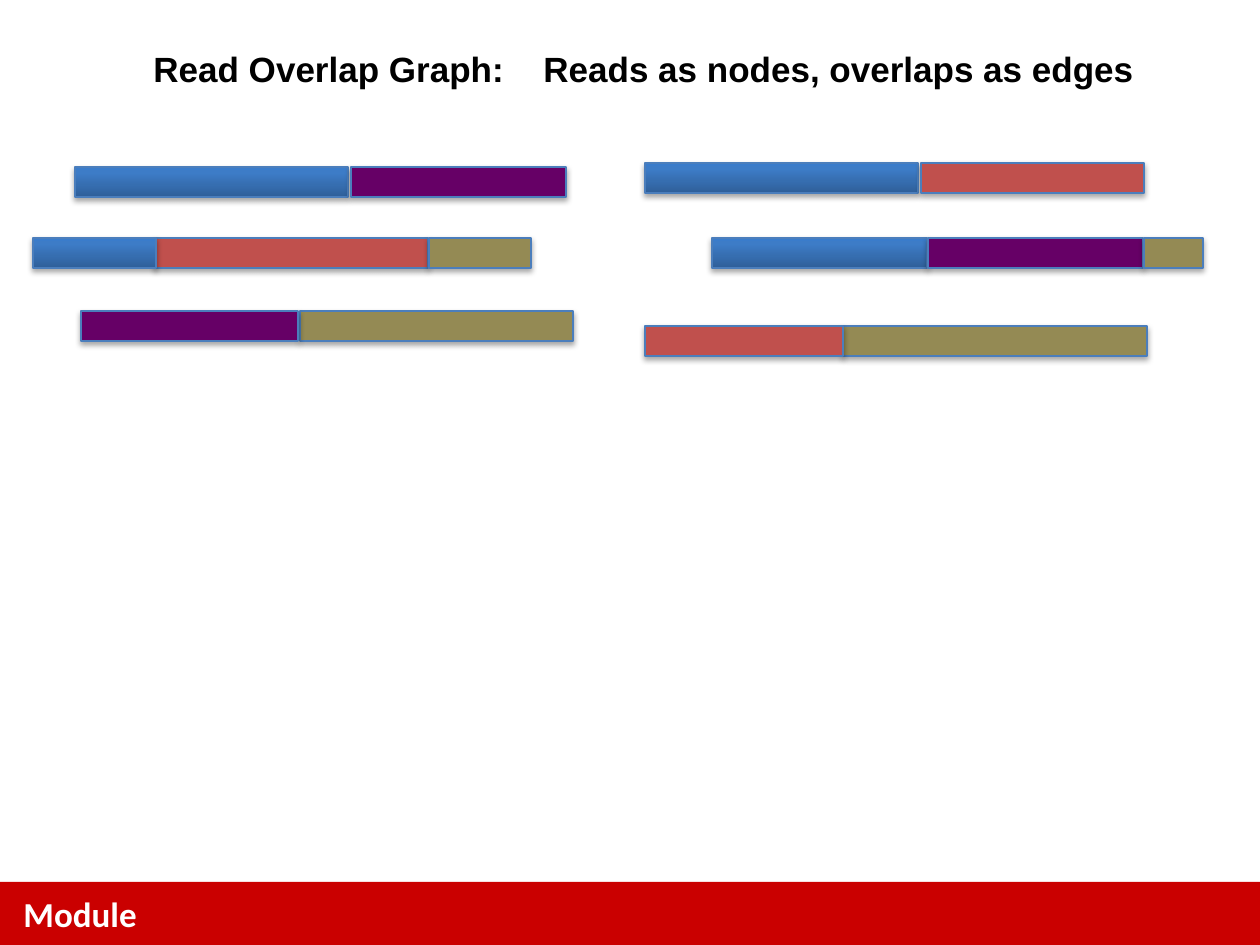
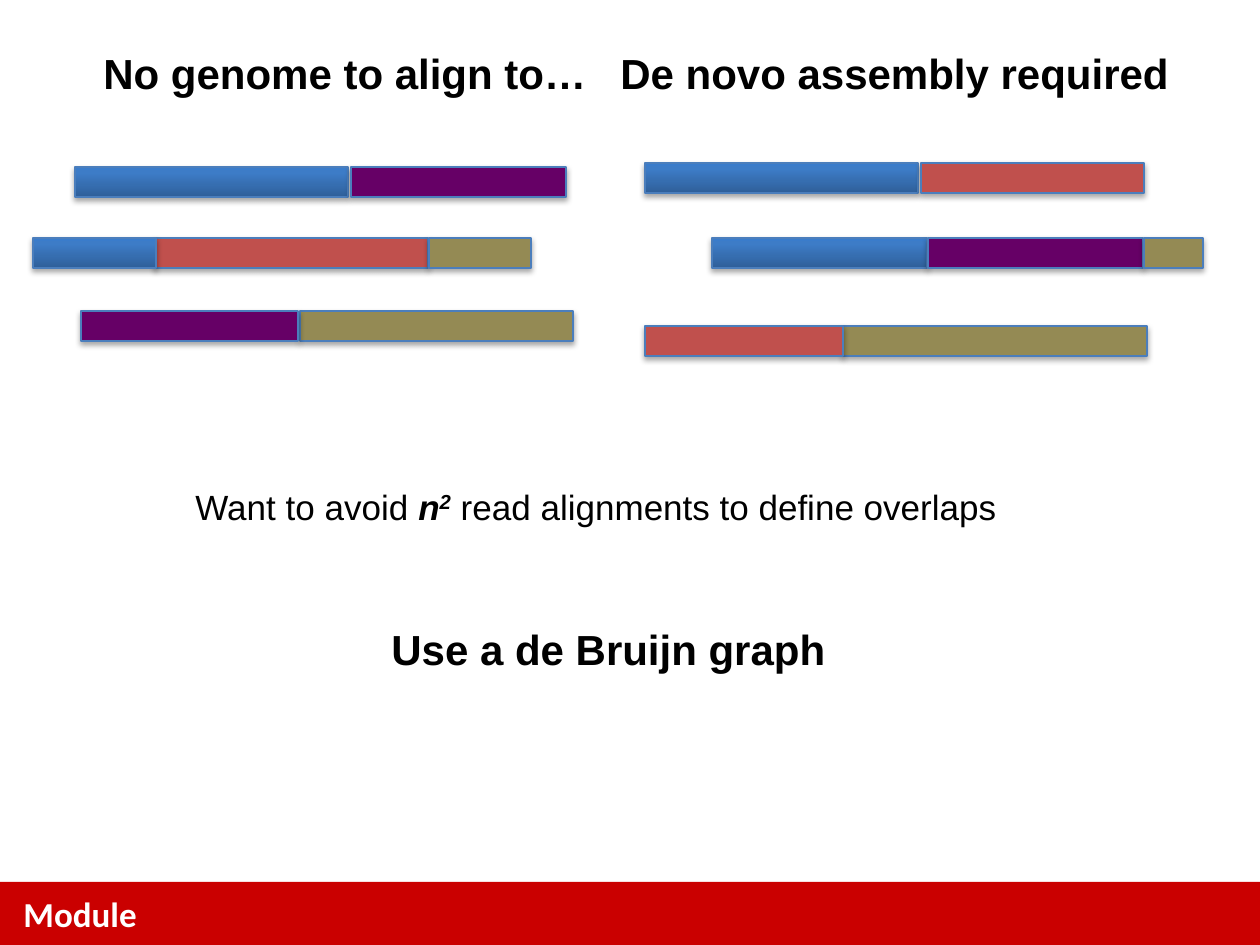
from lxml import etree
from pptx import Presentation
from pptx import util as u
from pptx.dml.color import RGBColor
from pptx.enum import shapes
from pptx.oxml.ns import qn

PX = 914400 / 126
WIDE, HIGH = 1260, 945
THICK = 30  # height of a read

RED = RGBColor(0xCA, 0x00, 0x00)
BLACK = RGBColor(0, 0, 0)
WHITE = RGBColor(255, 255, 255)
EDGE = RGBColor(0x4B, 0x7E, 0xBC)
ROSE = RGBColor(0xC0, 0x50, 0x4D)
PLUM = RGBColor(0x66, 0x00, 0x66)
SAND = RGBColor(0x94, 0x8A, 0x54)
DEEP = RGBColor(0x2F, 0x5F, 0x99)
MID = RGBColor(0x3D, 0x7C, 0xC7)
SKY = RGBColor(0x3A, 0x7C, 0xCB)
BLUE = [(0, DEEP), (80, MID), (100, SKY)]

# Each read: top, then its segments as (left, width, fill), back to front
READS = [
    (167, [(75, 273, BLUE), (351, 215, PLUM)]),
    (311, [(300, 273, SAND), (81, 217, PLUM)]),
    (238, [(712, 215, BLUE), (928, 215, PLUM), (1144, 59, SAND)]),
    (163, [(645, 273, BLUE), (921, 223, ROSE)]),
    (238, [(155, 273, ROSE), (429, 102, SAND), (33, 123, BLUE)]),
    (326, [(843, 304, SAND), (645, 198, ROSE)]),
]


def px(*nums):
    return [u.Emu(round(n * PX)) for n in nums]


def sub(node, tag, **attrs):
    return etree.SubElement(node, qn(tag), attrs)


def blend(shape, stops):
    """Fill a shape with a gradient that runs from bottom to top."""
    shape.fill.gradient()
    shape.fill.gradient_angle = 90
    ramp = shape._element.spPr.find(qn("a:gradFill")).find(qn("a:gsLst"))
    for old in list(ramp):
        ramp.remove(old)
    for pos, color in stops:
        stop = sub(ramp, "a:gs", pos=str(pos * 1000))
        sub(stop, "a:srgbClr", val=str(color))


def shade(shape):
    """Add a soft shadow below a shape."""
    glow = shape._element.spPr.find(qn("a:effectLst"))
    cast = sub(glow, "a:outerShdw", blurRad="40000", dist="23000",
               dir="5400000", rotWithShape="0")
    tint = sub(cast, "a:srgbClr", val=str(BLACK))
    sub(tint, "a:alpha", val="35000")


def block(home, box, fill):
    """Add a plain rectangle to a slide or a group."""
    shape = home.shapes.add_shape(shapes.MSO_SHAPE.RECTANGLE, *px(*box))
    shape.shadow.inherit = False
    if isinstance(fill, list):
        blend(shape, fill)
    else:
        shape.fill.solid()
        shape.fill.fore_color.rgb = fill
    shape.line.fill.background()
    return shape


def read(slide, top, parts):
    """Draw one sequence read as a group of coloured segments."""
    group = slide.shapes.add_group_shape()
    for left, width, fill in parts:
        part = block(group, (left, top, width, THICK), fill)
        part.line.color.rgb = EDGE
        part.line.width = u.Pt(0.75)
        shade(part)


def write(slide, box, runs, size, color=BLACK, face="Arial", tab=None):
    """Add one line of text; each run is (words, changes)."""
    frame = slide.shapes.add_textbox(*px(*box)).text_frame
    frame.word_wrap = True
    para = frame.paragraphs[0]
    if tab:
        tabs = sub(para._p.get_or_add_pPr(), "a:tabLst")
        sub(tabs, "a:tab", pos=str(px(tab)[0]), algn="l")
    for words, look in runs:
        run = para.add_run()
        run.text = words
        font = run.font
        font.name = face
        font.size = u.Pt(size)
        font.bold = look.get("bold", False)
        font.italic = look.get("slant", False)
        font.color.rgb = color
        if "rise" in look:
            run._r.get_or_add_rPr().set("baseline", str(look["rise"] * 1000))


def base(deck):
    """Start a slide with the footer band and the reads."""
    slide = deck.slides.add_slide(deck.slide_layouts[6])
    block(slide, (0, 882, WIDE, 63), RED)
    write(slide, (11, 886, 924, 54), [("Module", {"bold": True})], 20,
          WHITE, "Calibri")
    for top, parts in READS:
        read(slide, top, parts)
    return slide


def main():
    deck = Presentation()
    deck.slide_width, deck.slide_height = px(WIDE, HIGH)
    bold = {"bold": True}

    # Overlap graph
    slide = base(deck)
    write(slide, (141, 41, 1030, 55),
          [("Read Overlap Graph:\tReads as nodes, overlaps as edges", bold)],
          20, tab=390)

    # De novo assembly
    slide = base(deck)
    write(slide, (91, 41, 1120, 63),
          [("No genome to align to…\tDe novo assembly required", bold)],
          24, tab=517)
    write(slide, (183, 479, 850, 55),
          [("Want to avoid ", {}),
           ("n", {"bold": True, "slant": True}),
           ("2", {"bold": True, "slant": True, "rise": 30}),
           (" read alignments to define overlaps", {})], 20)
    write(slide, (379, 617, 480, 63), [("Use a de Bruijn graph", bold)], 24)

    deck.save("out.pptx")


if __name__ == "__main__":
    main()
